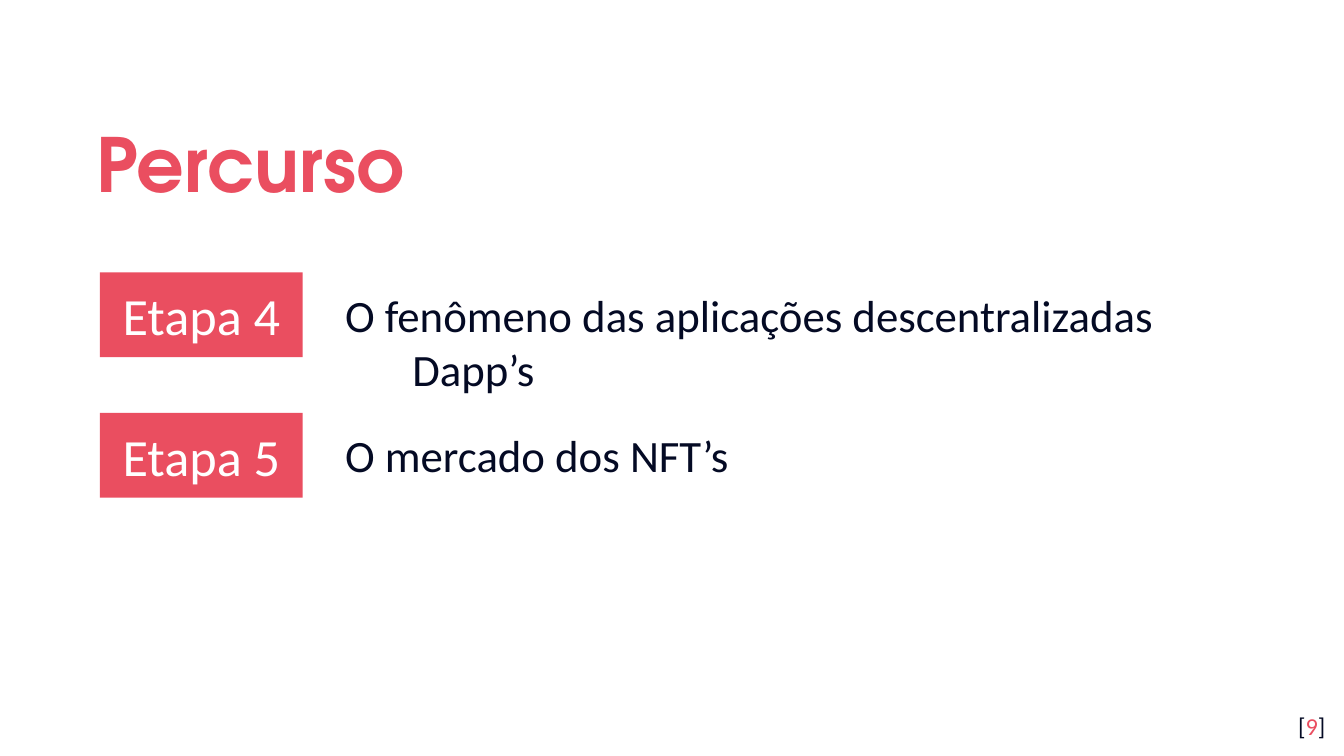
from dataclasses import dataclass

from pptx import Presentation
from pptx.dml.color import RGBColor as RGB
from pptx.enum.shapes import MSO_SHAPE as Shape
from pptx.enum.text import MSO_ANCHOR as Anchor, MSO_AUTO_SIZE as AutoSize, PP_ALIGN as Align
from pptx.util import Pt


@dataclass(frozen=True)
class Theme:
    accent: RGB = RGB(0xEA, 0x4E, 0x60)
    dark: RGB = RGB(0x04, 0x0A, 0x24)
    white: RGB = RGB(0xFF, 0xFF, 0xFF)
    title_font: str = "TeX Gyre Adventor"
    body_font: str = "Calibri"
    title_size: int = 40
    label_size: int = 28
    topic_size: int = 24
    number_size: int = 13


class SlideBuilder:
    def __init__(self, slide, theme):
        self.slide = slide
        self.theme = theme

    def set_frame(self, shape, anchor, vertical_inset=7.2):
        frame = shape.text_frame
        frame.word_wrap = True
        frame.auto_size = AutoSize.NONE
        frame.vertical_anchor = anchor
        frame.margin_left = frame.margin_right = Pt(7.2)
        frame.margin_top = frame.margin_bottom = Pt(vertical_inset)
        return frame.paragraphs[0]

    def add_run(self, paragraph, text, size, color, font=None, bold=False):
        run = paragraph.add_run()
        run.text = text
        run.font.name = font or self.theme.body_font
        run.font.size = Pt(size)
        run.font.bold = bold
        run.font.color.rgb = color

    def add_title(self, text, left, top, width, height):
        title = self.slide.shapes.title
        title.left, title.top = Pt(left), Pt(top)
        title.width, title.height = Pt(width), Pt(height)
        paragraph = self.set_frame(title, Anchor.MIDDLE)
        paragraph.alignment = Align.LEFT
        paragraph.line_spacing = 1.15
        theme = self.theme
        self.add_run(paragraph, text, theme.title_size, theme.accent, theme.title_font, True)

    def add_label(self, text, left, top, width, height):
        label = self.slide.shapes.add_shape(
            Shape.RECTANGLE, Pt(left), Pt(top), Pt(width), Pt(height))
        label.shadow.inherit = False
        label.fill.solid()
        label.fill.fore_color.rgb = self.theme.accent
        label.line.fill.background()
        paragraph = self.set_frame(label, Anchor.MIDDLE)
        paragraph.alignment = Align.CENTER
        self.add_run(paragraph, text, self.theme.label_size, self.theme.white)

    def add_topic(self, text, left, top, width, height):
        box = self.slide.shapes.add_textbox(Pt(left), Pt(top), Pt(width), Pt(height))
        paragraph = self.set_frame(box, Anchor.TOP, vertical_inset=3.6)
        # Hanging indent for wrapped lines
        properties = paragraph._p.get_or_add_pPr()
        properties.set("marL", str(Pt(36)))
        properties.set("indent", str(Pt(-36)))
        self.add_run(paragraph, text, self.theme.topic_size, self.theme.dark)

    def add_page_number(self, number, left, top, width, height):
        box = self.slide.shapes.add_textbox(Pt(left), Pt(top), Pt(width), Pt(height))
        paragraph = self.set_frame(box, Anchor.TOP)
        paragraph.alignment = Align.RIGHT
        theme = self.theme
        for text, color in (("[", theme.dark), (number, theme.accent), ("]", theme.dark)):
            self.add_run(paragraph, text, theme.number_size, color)


def main():
    presentation = Presentation()
    presentation.slide_width, presentation.slide_height = Pt(720), Pt(405)
    slide = presentation.slides.add_slide(presentation.slide_layouts[5])
    builder = SlideBuilder(slide, Theme())

    # Heading
    builder.add_title("Percurso", 44.6, 50.4, 583.2, 66.2)

    # Stages, one row each
    stages = (
        ("Etapa 4", "O fenômeno das aplicações descentralizadas Dapp’s"),
        ("Etapa 5", "O mercado dos NFT’s"),
    )
    first_top, row_pitch = 146, 75.2
    for index, (label, topic) in enumerate(stages):
        top = first_top + index * row_pitch
        builder.add_label(label, 53.5, top, 108.7, 45.4)
        builder.add_topic(topic, 177.8, top + 4.5, 486, 36)

    # Page number
    builder.add_page_number("9", 673.9, 373.7, 43.2, 31)

    presentation.save("out.pptx")


if __name__ == "__main__":
    main()
